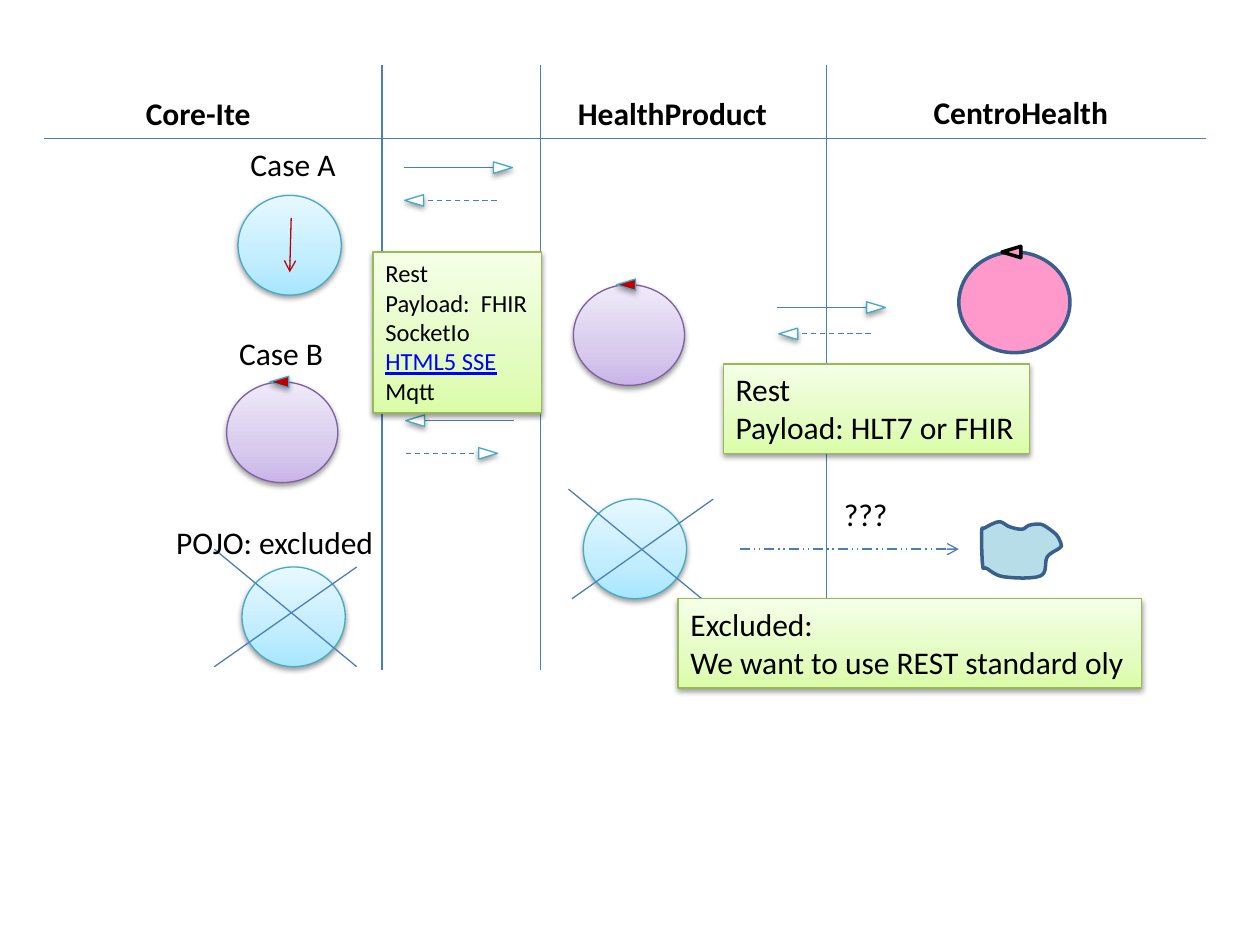
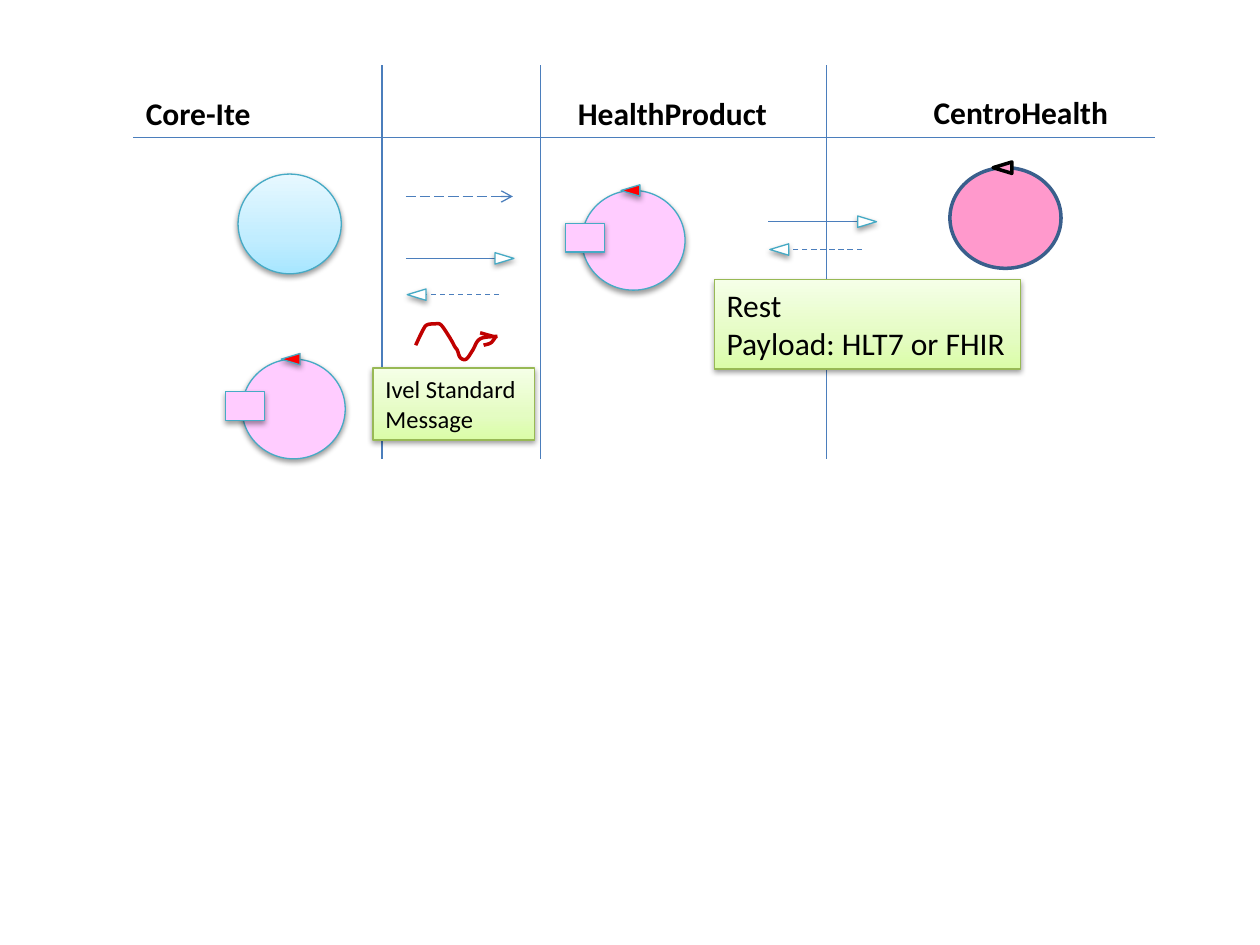
from copy import deepcopy
from itertools import chain

from lxml import etree
from pptx import Presentation
from pptx.dml.color import RGBColor
from pptx.enum import dml, shapes, text
from pptx.oxml.ns import qn
from pptx.util import Cm, Pt

FONT = "Calibri"
BLACK = RGBColor(0x00, 0x00, 0x00)
WHITE = RGBColor(0xFF, 0xFF, 0xFF)
LINE_BLUE = RGBColor(0x4B, 0x7E, 0xBC)
DARK_BLUE = RGBColor(0x3A, 0x5F, 0x8C)
TEAL = RGBColor(0x46, 0xAA, 0xC5)
PURPLE = RGBColor(0x7D, 0x60, 0xA0)
OLIVE = RGBColor(0x98, 0xB9, 0x55)
PINK = RGBColor(0xFF, 0x99, 0xCC)
MAGENTA = RGBColor(0xFF, 0xCC, 0xFF)
PALE_BLUE = RGBColor(0xB7, 0xDE, 0xE8)
DARK_RED = RGBColor(0xC0, 0x00, 0x00)
RED = RGBColor(0xFF, 0x00, 0x00)
LINK_BLUE = RGBColor(0x00, 0x00, 0xFF)

# Gradients run from the bottom up
STOPS = (0, 0.35, 1)
SKY = [RGBColor(0xA7, 0xE6, 0xFF), RGBColor(0xC1, 0xED, 0xFF), RGBColor(0xE7, 0xF8, 0xFF)]
LILAC = [RGBColor(0xC9, 0xB5, 0xE8), RGBColor(0xD8, 0xCB, 0xEE), RGBColor(0xF0, 0xEA, 0xF9)]
LIME = [RGBColor(0xDA, 0xFD, 0xA7), RGBColor(0xE4, 0xFC, 0xC2), RGBColor(0xF5, 0xFF, 0xE7)]

DASH = dml.MSO_LINE.DASH
LONG_DASH = dml.MSO_LINE.LONG_DASH
DASH_DOT_DOT = dml.MSO_LINE.DASH_DOT_DOT
RIGHT, LEFT = 1, -1

# All lengths below are centimetres
DIVIDERS, DIVIDER_TOP = (7.7, 10.9, 16.66), 1.32
LABEL_HEIGHT = 1.02
HEADINGS = [("Core-Ite", 2.69, 1.78, 2.64), ("HealthProduct", 11.4, 1.78, 4.37),
            ("CentroHealth", 18.57, 1.75, 4.06)]
HEAD_WIDTH, HEAD_LENGTH = 0.23, 0.38
MESSAGE_LENGTH = 1.8

# kind: width, height, fill, outline, outline points, loop head fill, loop head outline
CIRCLES = {
    "sky": (2.08, 2.01, SKY, TEAL, 0.75, None, None),
    "lilac": (2.24, 2.03, LILAC, PURPLE, 0.75, DARK_RED, TEAL),
    "pink": (2.24, 2.03, PINK, DARK_BLUE, 2, PINK, BLACK),
    "magenta": (2.08, 2.01, MAGENTA, TEAL, 0.75, RED, TEAL),
}
REST_PAYLOAD = ["Rest", "Payload: HLT7 or FHIR"]

# circles: kind, left, top       messages: tail x, y, direction, is a reply
# lines: start, end, colour, dash, has arrow
# callouts: left, top, width, height, points, paragraphs
# curves: points, closed
SLIDES = [
    {
        "header": (0.89, 24.31, 2.79),
        "divider_bottom": 13.51,
        "circles": [("pink", 19.33, 5.08), ("lilac", 11.56, 5.74), ("lilac", 4.57, 7.7),
                    ("sky", 4.8, 3.94), ("sky", 4.88, 11.43), ("sky", 11.76, 10.06)],
        "messages": [(8.15, 3.38, RIGHT, False), (10.01, 4.04, LEFT, True),
                     (15.67, 6.2, RIGHT, False), (17.55, 6.73, LEFT, True),
                     (10.36, 8.48, LEFT, False), (8.18, 9.14, RIGHT, True)],
        "lines": [((5.87, 4.39), (5.84, 5.49), DARK_RED, None, True),
                  ((7.19, 11.43), (4.32, 13.44), LINE_BLUE, None, False),
                  ((4.32, 11.07), (7.19, 13.44), LINE_BLUE, None, False),
                  ((14.38, 10.06), (11.53, 12.07), LINE_BLUE, None, False),
                  ((11.46, 9.86), (14.33, 12.22), LINE_BLUE, None, False),
                  ((14.91, 11.07), (19.33, 11.07), LINE_BLUE, DASH_DOT_DOT, True)],
        "labels": [("Case A", 4.8, 2.79, 2.26), ("Case B", 4.57, 6.6, 2.26),
                   ("POJO: excluded", 3.3, 10.41, 4.52), ("???", 16.76, 9.86, 1.4)],
        "callouts": [
            (14.58, 7.34, 6.17, 1.8, 18, REST_PAYLOAD),
            (7.52, 5.08, 3.4, 3.25, 14,
             ["Rest", "Payload:  FHIR", "SocketIo", "HTML5 SSE", "Mqtt"]),
            (13.67, 12.07, 9.35, 1.8, 18, ["Excluded:", "We want to use REST standard oly"])],
        "curves": [
            ([(20.14, 10.52), (19.86, 10.64), (19.79, 10.72), (19.81, 11.4), (19.89, 11.46),
              (20.24, 11.63), (20.98, 11.61), (21.11, 11.23), (21.36, 11.05), (21.39, 10.97),
              (21.31, 10.8), (21.16, 10.67), (20.98, 10.57), (20.75, 10.59), (20.6, 10.67),
              (20.35, 10.62)], True)],
    },
    {
        "header": (2.69, 23.29, 2.77),
        "divider_bottom": 9.25,
        "circles": [("magenta", 11.73, 3.84), ("magenta", 4.88, 7.24),
                    ("sky", 4.8, 3.51), ("pink", 19.15, 3.38)],
        "messages": [(8.18, 5.21, RIGHT, False), (10.06, 5.94, LEFT, True),
                     (15.49, 4.47, RIGHT, False), (17.37, 5.03, LEFT, True)],
        "lines": [((8.18, 3.96), (10.34, 3.96), LINE_BLUE, LONG_DASH, True)],
        "labels": [],
        "callouts": [(14.4, 5.64, 6.17, 1.8, 18, REST_PAYLOAD),
                     (7.52, 7.42, 3.25, 1.45, 14, ["Ivel Standard", "Message"])],
        "curves": [
            ([(8.38, 6.96), (8.53, 6.65), (8.61, 6.55), (8.76, 6.53), (8.89, 6.55),
              (9.07, 6.81), (9.17, 6.99), (9.22, 7.06), (9.28, 7.21), (9.4, 7.24),
              (9.53, 7.06), (9.68, 6.83), (10.03, 6.78)], False),
            ([(9.68, 6.71), (10, 6.8)], False),
            ([(10, 6.78), (9.9, 6.91), (9.75, 6.96)], False)],
    },
]


def style_shape(shape, fill, outline, points, shadow):
    """Fill with one colour, a list of gradient colours or nothing, and set the outline."""
    if fill is None:
        shape.fill.background()
    elif isinstance(fill, list):
        shape.fill.gradient()
        shape.fill.gradient_angle = 90
        stop_list = shape._element.spPr.find(".//" + qn("a:gsLst"))
        stop_list.append(deepcopy(stop_list[0]))
        for stop, position, color in zip(shape.fill.gradient_stops, STOPS, fill):
            stop.position = position
            stop.color.rgb = color
    else:
        shape.fill.solid()
        shape.fill.fore_color.rgb = fill
    shape.line.color.rgb = outline
    shape.line.width = Pt(points)
    shape.shadow.inherit = False
    if shadow:
        effects = shape._element.spPr.find(qn("a:effectLst"))
        outer = etree.SubElement(effects, qn("a:outerShdw"), blurRad="40000", dist="20000",
                                 dir="5400000", rotWithShape="0")
        black = etree.SubElement(outer, qn("a:srgbClr"), val="000000")
        etree.SubElement(black, qn("a:alpha"), val="38000")


def add_preset(slide, preset, box, fill, outline, points=0.75, shadow=True):
    shape = slide.shapes.add_shape(preset, *map(Cm, box))
    style_shape(shape, fill, outline, points, shadow)
    return shape


def add_head(slide, center_x, center_y, direction, fill, outline, points=0.75, shadow=True):
    box = (center_x - HEAD_WIDTH / 2, center_y - HEAD_LENGTH / 2, HEAD_WIDTH, HEAD_LENGTH)
    head = add_preset(slide, shapes.MSO_SHAPE.ISOSCELES_TRIANGLE, box, fill, outline,
                      points, shadow)
    head.rotation = 90 if direction == RIGHT else 270


def add_line(slide, start, end, color=LINE_BLUE, dash=None, arrow=False):
    connector = slide.shapes.add_connector(shapes.MSO_CONNECTOR.STRAIGHT,
                                           *map(Cm, chain(start, end)))
    connector.line.color.rgb = color
    connector.line.width = Pt(0.75)
    if dash:
        connector.line.dash_style = dash
    properties = connector._element.spPr
    if arrow:
        etree.SubElement(properties.find(qn("a:ln")), qn("a:tailEnd"), type="arrow")
    etree.SubElement(properties, qn("a:effectLst"))


def add_message(slide, tail, y, direction, is_reply):
    """Requests are solid with the head past the line; replies are dashed, head on it."""
    end = tail + direction * MESSAGE_LENGTH
    add_line(slide, (tail, y), (end, y), dash=DASH if is_reply else None)
    head_offset = -0.14 if is_reply else 0.19
    add_head(slide, end + direction * head_offset, y, direction, WHITE, TEAL)


def add_circle(slide, kind, left, top):
    width, height, fill, outline, points, head_fill, head_outline = CIRCLES[kind]
    shadow = kind != "pink"
    add_preset(slide, shapes.MSO_SHAPE.OVAL, (left, top, width, height),
               fill, outline, points, shadow)
    if kind == "magenta":
        add_preset(slide, shapes.MSO_SHAPE.RECTANGLE, (left - 0.33, top + 0.66, 0.79, 0.58),
                   fill, outline)
    if head_fill is not None:
        add_head(slide, left + width / 2 - 0.06, top, LEFT, head_fill, head_outline,
                 points, shadow)


def write_text(shape, paragraphs, points=18, bold=False):
    frame = shape.text_frame
    frame.word_wrap = False
    frame.auto_size = text.MSO_AUTO_SIZE.SHAPE_TO_FIT_TEXT
    frame.vertical_anchor = text.MSO_ANCHOR.TOP
    for index, words in enumerate(paragraphs):
        paragraph = frame.add_paragraph() if index else frame.paragraphs[0]
        paragraph.alignment = text.PP_ALIGN.LEFT
        run = paragraph.add_run()
        run.text = words
        run.font.name = FONT
        run.font.size = Pt(points)
        run.font.bold = bold
        is_reference = words == "HTML5 SSE"
        run.font.underline = is_reference
        run.font.color.rgb = LINK_BLUE if is_reference else BLACK


def add_label(slide, words, left, top, width, bold=False):
    box = slide.shapes.add_textbox(*map(Cm, (left, top, width, LABEL_HEIGHT)))
    write_text(box, [words], bold=bold)


def add_callout(slide, left, top, width, height, points, paragraphs):
    box = add_preset(slide, shapes.MSO_SHAPE.RECTANGLE, (left, top, width, height), LIME, OLIVE)
    write_text(box, paragraphs, points)


def smooth(points, closed, steps=6):
    """Catmull-Rom curve through the points."""
    count = len(points)

    def at(index):
        return points[index % count if closed else min(max(index, 0), count - 1)]

    curve = [points[0]]
    for index in range(count if closed else count - 1):
        neighbours = [at(index + shift) for shift in (-1, 0, 1, 2)]
        for step in range(1, steps + 1):
            t = step / steps
            curve.append(tuple(
                (2 * b + (c - a) * t + (2 * a - 5 * b + 4 * c - d) * t ** 2
                 + (3 * b - a - 3 * c + d) * t ** 3) / 2
                for a, b, c, d in zip(*neighbours)))
    return curve


def add_curve(slide, points, closed):
    vertices = [(Cm(x), Cm(y)) for x, y in smooth(points, closed)]
    builder = slide.shapes.build_freeform(*vertices[0])
    builder.add_line_segments(vertices[1:], close=closed)
    fill, outline = (PALE_BLUE, DARK_BLUE) if closed else (None, DARK_RED)
    style_shape(builder.convert_to_shape(), fill, outline, 2, shadow=False)


def add_grid(slide, header, bottom):
    left, right, y = header
    add_line(slide, (left, y), (right, y))
    for x in DIVIDERS:
        add_line(slide, (x, DIVIDER_TOP), (x, bottom))
    for heading in HEADINGS:
        add_label(slide, *heading, bold=True)


def main():
    presentation = Presentation()
    presentation.slide_width, presentation.slide_height = Cm(25.4), Cm(19.05)
    parts = [("circles", add_circle), ("messages", add_message), ("lines", add_line),
             ("labels", add_label), ("curves", add_curve), ("callouts", add_callout)]
    for content in SLIDES:
        slide = presentation.slides.add_slide(presentation.slide_layouts[6])
        add_grid(slide, content["header"], content["divider_bottom"])
        for name, add_part in parts:
            for values in content[name]:
                add_part(slide, *values)
    presentation.save("out.pptx")


if __name__ == "__main__":
    main()
